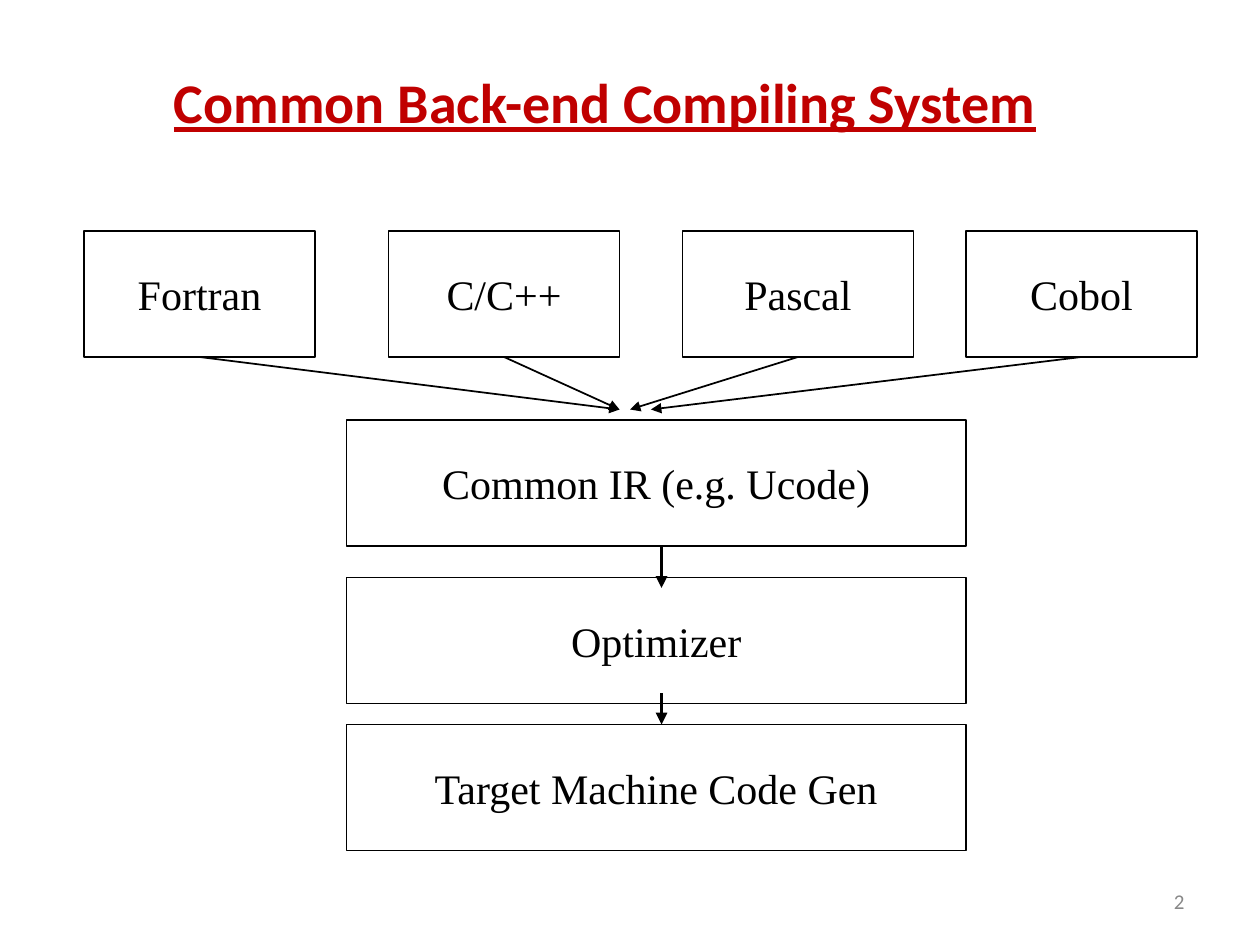
from dataclasses import dataclass

from lxml import etree
from pptx import Presentation
from pptx import util as u
from pptx.dml.color import RGBColor
from pptx.enum import shapes, text
from pptx.oxml import ns


@dataclass(frozen=True)
class Theme:
    title_font: str = "Calibri"
    box_font: str = "Times New Roman"
    title_color: RGBColor = RGBColor(0xC0, 0x00, 0x00)
    ink: RGBColor = RGBColor(0x00, 0x00, 0x00)
    number_color: RGBColor = RGBColor(0x88, 0x88, 0x88)
    title_size: float = 32
    box_size: float = 24
    number_size: float = 12
    thin: float = 1
    thick: float = 2.25


THEME = Theme()
BOX_HEIGHT = 72
LANGUAGE_TOP, LANGUAGE_WIDTH = 132, 132
STAGE_LEFT, STAGE_WIDTH = 198, 354
MERGE_Y, FLOW_X = 234, 378
LANGUAGES = [
    ("Fortran", 48, 354),
    ("C/C++", 222, 354),
    ("Pascal", 390, 360),
    ("Cobol", 552, 372),
]
STAGES = [
    ("Common IR (e.g. Ucode)", 240),
    ("Optimizer", 330),
    ("Target Machine Code Gen", 414),
]
STAGE_ARROWS = [(312, 336), (396, 414)]


def write_text(shape, words, font, size, color, align=text.PP_ALIGN.CENTER):
    frame = shape.text_frame
    frame.text = words
    frame.word_wrap = True
    frame.vertical_anchor = text.MSO_ANCHOR.MIDDLE
    para = frame.paragraphs[0]
    para.alignment = align
    span = para.runs[0]
    span.font.name = font
    span.font.size = u.Pt(size)
    span.font.color.rgb = color
    return span


def set_title(page, words):
    title = page.shapes.title
    title.left, title.top = u.Pt(30), u.Pt(30)
    title.width, title.height = u.Pt(631.5), u.Pt(56)
    span = write_text(title, words, THEME.title_font, THEME.title_size, THEME.title_color)
    span.font.bold = True
    span.font.underline = True


def add_box(page, words, left, top, width):
    box = page.shapes.add_shape(
        shapes.MSO_SHAPE.RECTANGLE, u.Pt(left), u.Pt(top), u.Pt(width), u.Pt(BOX_HEIGHT)
    )
    box.shadow.inherit = False
    box.fill.background()
    box.line.color.rgb = THEME.ink
    box.line.width = u.Pt(THEME.thin)
    write_text(box, words, THEME.box_font, THEME.box_size, THEME.ink)


def add_arrow(page, start, end, weight):
    arrow = page.shapes.add_connector(
        shapes.MSO_CONNECTOR.STRAIGHT, *(u.Pt(value) for value in (*start, *end))
    )
    arrow.line.color.rgb = THEME.ink
    arrow.line.width = u.Pt(weight)
    etree.SubElement(arrow.line._get_or_add_ln(), ns.qn("a:tailEnd"), type="triangle")
    etree.SubElement(arrow._element.spPr, ns.qn("a:effectLst"))


def add_page_number(page, number):
    box = page.shapes.add_textbox(u.Pt(516), u.Pt(500.5), u.Pt(168), u.Pt(28.75))
    write_text(
        box, number, THEME.title_font, THEME.number_size, THEME.number_color, text.PP_ALIGN.RIGHT
    )


def main():
    deck = Presentation()
    deck.slide_width, deck.slide_height = u.Pt(720), u.Pt(540)
    page = deck.slides.add_slide(deck.slide_layouts[5])
    add_page_number(page, "2")
    set_title(page, "Common Back-end Compiling System")
    for name, left, _ in LANGUAGES:
        add_box(page, name, left, LANGUAGE_TOP, LANGUAGE_WIDTH)
    for name, top in STAGES:
        add_box(page, name, STAGE_LEFT, top, STAGE_WIDTH)
    for _, left, target in LANGUAGES:
        start = (left + LANGUAGE_WIDTH / 2, LANGUAGE_TOP + BOX_HEIGHT)
        add_arrow(page, start, (target, MERGE_Y), THEME.thin)
    for start, end in STAGE_ARROWS:
        add_arrow(page, (FLOW_X, start), (FLOW_X, end), THEME.thick)
    deck.save("out.pptx")


if __name__ == "__main__":
    main()
